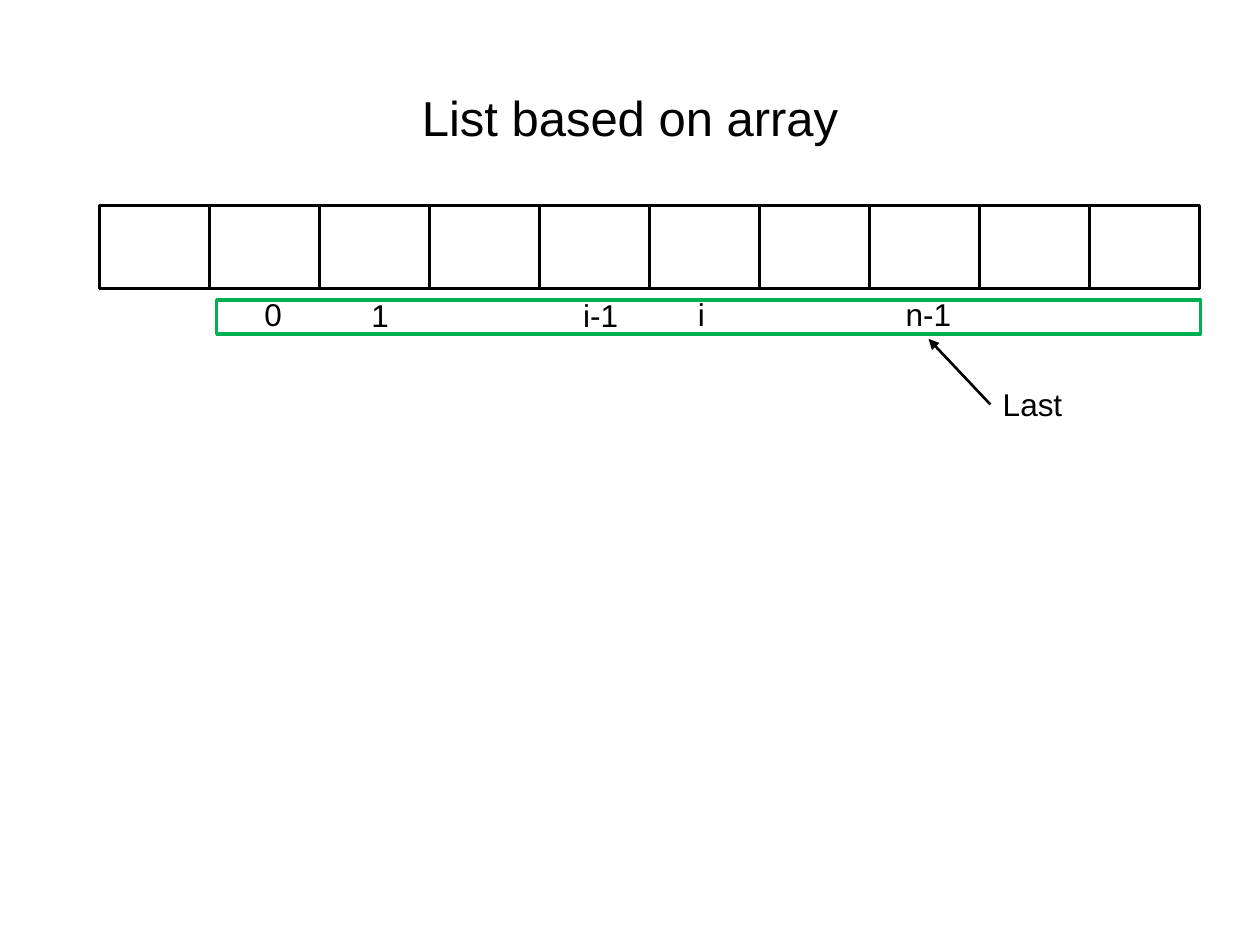
from dataclasses import dataclass

from lxml import etree
from pptx import Presentation
from pptx.dml.color import RGBColor
from pptx.enum.shapes import MSO_CONNECTOR, MSO_SHAPE
from pptx.enum.text import MSO_ANCHOR, MSO_AUTO_SIZE, PP_ALIGN
from pptx.oxml.ns import qn
from pptx.util import Inches, Pt

RECT = MSO_SHAPE.RECTANGLE
STRAIGHT = MSO_CONNECTOR.STRAIGHT
MIDDLE = MSO_ANCHOR.MIDDLE
CENTER = PP_ALIGN.CENTER
FIT_SHAPE = MSO_AUTO_SIZE.SHAPE_TO_FIT_TEXT
LEFT_SIDE = 1


@dataclass(frozen=True)
class Theme:
    """Colours, font and sizes of the slide."""
    ink: RGBColor = RGBColor(0, 0, 0)
    green: RGBColor = RGBColor(0, 176, 80)
    font: str = "Arial"
    title: Pt = Pt(28)
    label: Pt = Pt(18)
    box_line: Pt = Pt(2)
    arrow_line: Pt = Pt(1.5)


THEME = Theme()
CELL_COUNT = 10
GROUPED_CELLS = 9
ROW_LEFT, ROW_TOP, ROW_WIDTH, ROW_HEIGHT = 0.79, 1.63, 8.73, 0.66
INDEX_LABELS = [
    ("0", 2, 2.29, 0.34),
    ("1", 2.85, 2.3, 0.34),
    ("i-1", 4.53, 2.3, 0.48),
    ("i", 5.44, 2.29, 0.26),
    ("n-1", 7.09, 2.29, 0.57),
]


def add_run(p, text, size):
    """Add a run in the theme font and ink."""
    r = p.add_run()
    r.text = text
    r.font.name = THEME.font
    r.font.size = size
    r.font.color.rgb = THEME.ink


def set_title(s, text):
    """Place and fill the title placeholder."""
    sp = s.shapes.title
    sp.left, sp.top = Inches(0.5), Inches(0.3)
    sp.width, sp.height = Inches(9), Inches(1.25)
    tf = sp.text_frame
    tf.vertical_anchor = MIDDLE
    p = tf.paragraphs[0]
    p.alignment = CENTER
    add_run(p, text, THEME.title)


def add_label(s, text, left, top, width):
    """Add a one-line label that fits its text."""
    sp = s.shapes.add_textbox(Inches(left), Inches(top), Inches(width), Inches(0.4))
    tf = sp.text_frame
    tf.word_wrap = False
    tf.auto_size = FIT_SHAPE
    add_run(tf.paragraphs[0], text, THEME.label)
    return sp


def add_frame(shapes, left, top, width, height, color):
    """Add an unfilled outlined rectangle."""
    sp = shapes.add_shape(RECT, Inches(left), Inches(top), Inches(width), Inches(height))
    sp.shadow.inherit = False
    sp.fill.background()
    sp.line.color.rgb = color
    sp.line.width = THEME.box_line


def add_array(s):
    """Add the row of equal cells, the last one outside the group."""
    group = s.shapes.add_group_shape()
    width = ROW_WIDTH / CELL_COUNT
    for i in range(CELL_COUNT):
        shapes = group.shapes if i < GROUPED_CELLS else s.shapes
        add_frame(shapes, ROW_LEFT + i * width, ROW_TOP, width, ROW_HEIGHT, THEME.ink)


def add_arrow(s, label, x, y):
    """Add an arrow from the left side of a label to a point."""
    c = s.shapes.add_connector(STRAIGHT, label.left, label.top, Inches(x), Inches(y))
    c.begin_connect(label, LEFT_SIDE)
    c.line.color.rgb = THEME.ink
    c.line.width = THEME.arrow_line
    etree.SubElement(c.line._get_or_add_ln(), qn("a:tailEnd"), type="triangle")
    etree.SubElement(c._element.spPr, qn("a:effectLst"))


def main():
    """Build the slide and save it."""
    prs = Presentation()
    prs.slide_width, prs.slide_height = Inches(10), Inches(7.5)
    s = prs.slides.add_slide(prs.slide_layouts[5])
    set_title(s, "List based on array")
    for label in INDEX_LABELS:
        add_label(s, *label)
    add_frame(s.shapes, 1.72, 2.38, 7.81, 0.27, THEME.green)
    add_array(s)
    last = add_label(s, "Last", 7.86, 3.01, 0.68)
    add_arrow(s, last, 7.37, 2.69)
    prs.save("out.pptx")


if __name__ == "__main__":
    main()
